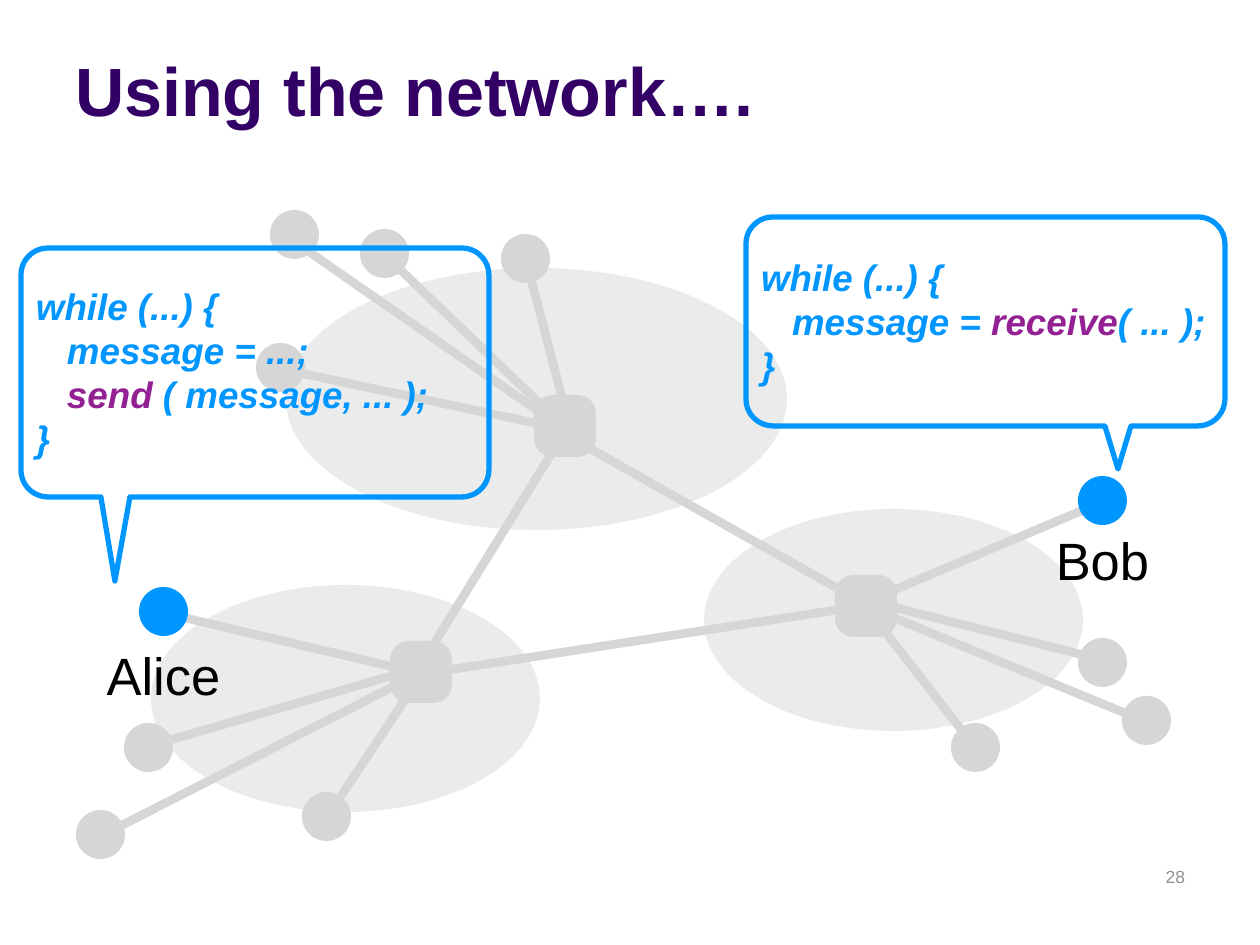
import math

from pptx import Presentation
from pptx.dml.color import RGBColor
from pptx.enum.shapes import MSO_CONNECTOR, MSO_SHAPE
from pptx.enum.text import MSO_ANCHOR, PP_ALIGN
from pptx.oxml.ns import qn
from pptx.util import Emu, Pt

OVAL, ROUNDED = MSO_SHAPE.OVAL, MSO_SHAPE.ROUNDED_RECTANGLE
STRAIGHT = MSO_CONNECTOR.STRAIGHT
TOP, MIDDLE, BOTTOM = MSO_ANCHOR.TOP, MSO_ANCHOR.MIDDLE, MSO_ANCHOR.BOTTOM
LEFT, CENTER, RIGHT = PP_ALIGN.LEFT, PP_ALIGN.CENTER, PP_ALIGN.RIGHT

SCALE = 914400 / 126
HOST, HUB, CORNER, INDENT = 49, 62, 27, 31
FONT = "Arial"
COLORS = {
    "title": "330066",
    "cloud": "EBEBEB",
    "node": "D6D6D6",
    "active": "0096FF",
    "call": "942193",
    "label": "000000",
    "number": "919191",
}

# Each domain has a cloud box; the hub and hosts are relative to it.
# A host is (left, top), its link's start and end, and its colour.
DOMAINS = [
    ((286, 268, 501, 262), (248, 127), [
        ((-16, -58), (9, -26), (268, 154), "node"),
        ((74, -39), (100, -12), (272, 153), "node"),
        ((215, -34), (242, -1), (285, 164), "node"),
        ((-30, 75), (-5, 101), (272, 160), "node"),
    ]),
    ((151, 585, 389, 227), (239, 56), [
        ((-12, 2), (9, 27), (264, 87), "active"),
        ((-27, 138), (-5, 162), (264, 84), "node"),
        ((-75, 225), (-54, 253), (261, 92), "node"),
        ((151, 207), (180, 226), (269, 92), "node"),
    ]),
    ((704, 509, 379, 222), (131, 66), [
        ((374, -33), (396, -6), (157, 95), "active"),
        ((374, 129), (395, 150), (165, 92), "node"),
        ((418, 187), (445, 214), (159, 96), "node"),
        ((247, 214), (270, 237), (165, 102), "node"),
    ]),
]
TRUNKS = [
    ((557, 430), (867, 605)),
    ((566, 430), (421, 665)),
    ((869, 605), (422, 674)),
]

# A code line is (indented, [(text, colour), ...]).
SEND_CODE = [
    (False, [("while (...) {", "active")]),
    (True, [("message = ...;", "active")]),
    (True, [("send ", "call"), ("( message, ... );", "active")]),
    (False, [("}", "active")]),
]
RECEIVE_CODE = [
    (False, [("while (...) {", "active")]),
    (True, [("message = ", "active"), ("receive", "call"), ("( ... );", "active")]),
    (False, [("}", "active")]),
]


def px(*lengths):
    return [Emu(round(length * SCALE)) for length in lengths]


def color(name):
    return RGBColor.from_string(COLORS[name])


def add_run(paragraph, text, size, ink, bold=False, italic=False):
    run = paragraph.add_run()
    run.text = text
    font = run.font
    font.name, font.size, font.bold, font.italic = FONT, Pt(size), bold, italic
    font.color.rgb = color(ink)


def set_frame(frame, anchor, inset_x, inset_y):
    frame.word_wrap = True
    frame.vertical_anchor = anchor
    frame.margin_left = frame.margin_right = px(inset_x)[0]
    frame.margin_top = frame.margin_bottom = px(inset_y)[0]


def add_label(slide, box, text, size, ink, align, anchor=MIDDLE):
    frame = slide.shapes.add_textbox(*px(*box)).text_frame
    set_frame(frame, anchor, 12 if anchor == TOP else 5, 5)
    frame.paragraphs[0].alignment = align
    add_run(frame.paragraphs[0], text, size, ink)


def add_title(slide, box, text):
    title = slide.shapes.title
    title.left, title.top, title.width, title.height = px(*box)
    set_frame(title.text_frame, BOTTOM, 12, 6)
    heading = title.text_frame.paragraphs[0]
    heading.alignment = LEFT
    add_run(heading, text, 39, "title", bold=True)


def add_solid(slide, preset, box, fill):
    solid = slide.shapes.add_shape(preset, *px(*box))
    solid.shadow.inherit = False
    solid.fill.solid()
    solid.fill.fore_color.rgb = color(fill)
    solid.line.fill.background()
    return solid


def add_link(slide, start, end):
    link = slide.shapes.add_connector(STRAIGHT, *px(*start, *end))
    link.line.color.rgb = color("node")
    link.line.width = Pt(5)
    properties = link._element.spPr
    properties.append(properties.makeelement(qn("a:effectLst"), {}))


def add_domain(slide, box, hub, hosts):
    """Place the hub of one cloud with its linked hosts."""
    left, top = box[:2]

    def place(point):
        return left + point[0], top + point[1]

    for _, start, end, _ in hosts:
        add_link(slide, place(start), place(end))
    for corner, _, _, fill in hosts:
        add_solid(slide, OVAL, (*place(corner), HOST, HOST), fill)
    router = add_solid(slide, ROUNDED, (*place(hub), HUB, HUB), "node")
    router.adjustments[0] = 0.3


def bubble_outline(box, tail):
    """Return the points of a rounded box with a tail on its lower edge."""
    left, top, width, height = box
    right, bottom = left + width, top + height

    def arc(x, y, first):
        angles = [math.radians(first + step) for step in range(0, 91, 10)]
        return [(x + CORNER * math.cos(a), y + CORNER * math.sin(a)) for a in angles]

    near, far, tip_x, tip_y = tail
    return [
        *arc(left + CORNER, top + CORNER, 180),
        *arc(right - CORNER, top + CORNER, 270),
        *arc(right - CORNER, bottom - CORNER, 0),
        (left + far, bottom), (left + tip_x, top + tip_y), (left + near, bottom),
        *arc(left + CORNER, bottom - CORNER, 90),
    ]


def add_code_bubble(slide, box, tail, code):
    points = [px(*point) for point in bubble_outline(box, tail)]
    outline = slide.shapes.build_freeform(*points[0], scale=1.0)
    outline.add_line_segments(points[1:], close=True)
    bubble = outline.convert_to_shape()
    bubble.shadow.inherit = False
    bubble.fill.background()
    bubble.line.color.rgb = color("active")
    bubble.line.width = Pt(3)

    left, top, width, height = box
    text_box = (left + 10, top + 31, width - 17, height - 63)
    frame = slide.shapes.add_textbox(*px(*text_box)).text_frame
    set_frame(frame, MIDDLE, 5, 5)
    for index, (indented, pieces) in enumerate(code):
        line = frame.add_paragraph() if index else frame.paragraphs[0]
        if indented:
            line._p.get_or_add_pPr().set("marL", str(px(INDENT)[0]))
        for text, ink in pieces:
            add_run(line, text, 21, ink, bold=True, italic=True)


def add_network(slide):
    for cloud, _, _ in DOMAINS:
        add_solid(slide, OVAL, cloud, "cloud")
    for start, end in TRUNKS:
        add_link(slide, start, end)
    for domain in DOMAINS:
        add_domain(slide, *domain)


def main():
    deck = Presentation()
    deck.slide_width, deck.slide_height = px(1260, 945)
    slide = deck.slides.add_slide(deck.slide_layouts[5])
    add_title(slide, (63, 16, 1134, 120), "Using the network….")
    add_network(slide)
    add_code_bubble(slide, (21, 248, 468, 249), (80, 109, 94, 333), SEND_CODE)
    add_code_bubble(slide, (746, 217, 479, 209), (359, 385, 372, 252), RECEIVE_CODE)
    add_label(slide, (20, 638, 287, 74), "Alice", 30, "label", CENTER)
    add_label(slide, (959, 523, 287, 74), "Bob", 30, "label", CENTER)
    add_label(slide, (903, 861, 294, 63), "28", 10, "number", RIGHT, TOP)
    deck.save("out.pptx")


if __name__ == "__main__":
    main()
